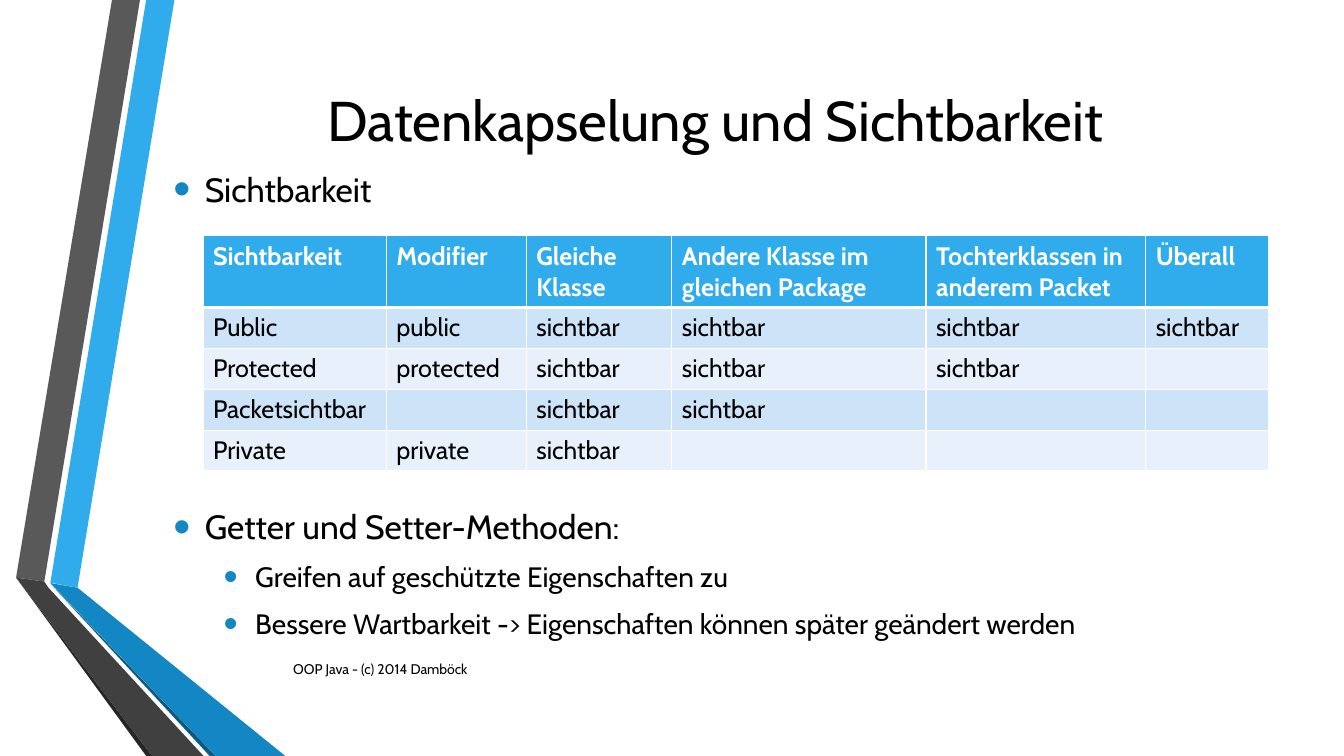
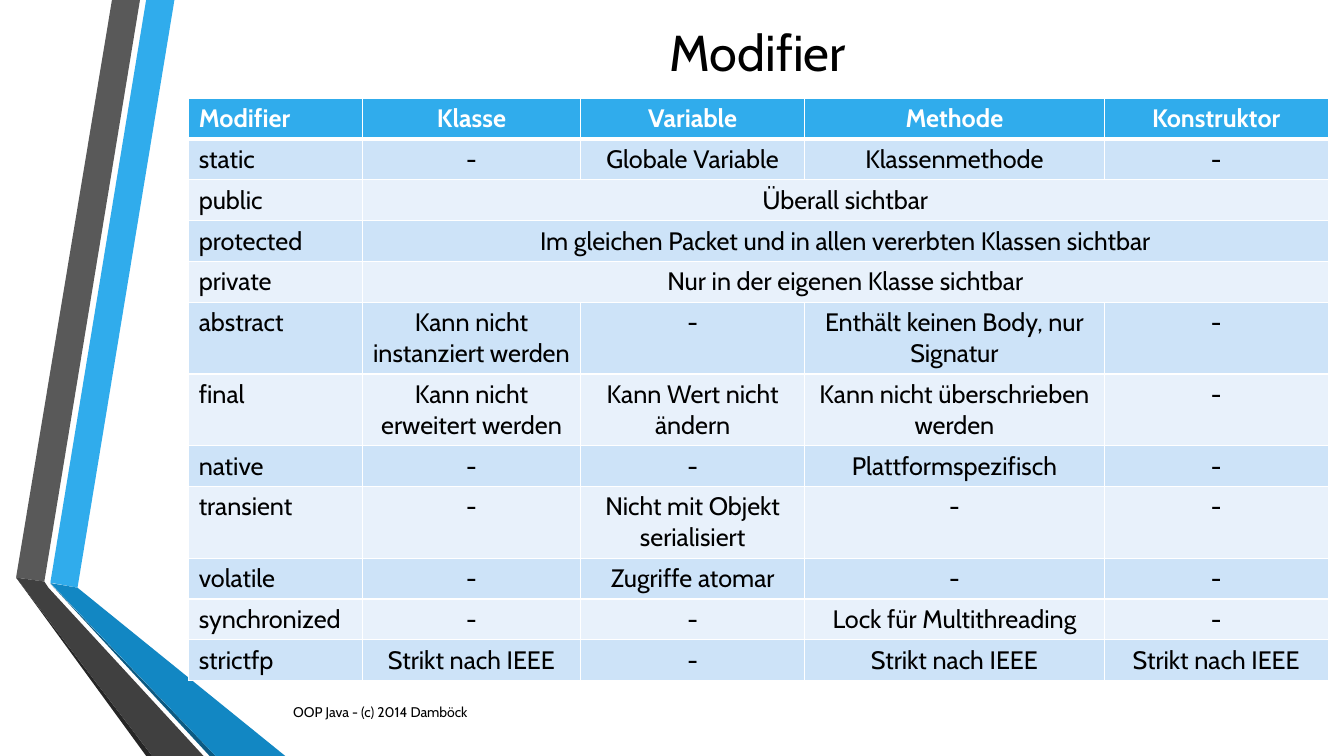
from lxml import etree
from pptx import Presentation
from pptx.dml.color import RGBColor
from pptx.enum.text import MSO_ANCHOR, MSO_AUTO_SIZE, PP_ALIGN
from pptx.oxml.ns import qn
from pptx.util import Pt

TOP, MIDDLE = MSO_ANCHOR.TOP, MSO_ANCHOR.MIDDLE
LEFT, CENTER = PP_ALIGN.LEFT, PP_ALIGN.CENTER
NO_AUTOFIT = MSO_AUTO_SIZE.NONE

# Shared look
FONT = "Cabin"
BLACK, WHITE = "000000", "FFFFFF"
SKY, BLUE, NAVY = "30ACEC", "1287C3", "0C5A82"
ROW_TINTS = ("E8F1FB", "CDE3F8")
ROW_HEIGHT, TALL_ROW_HEIGHT = 29.2, 51
FOOTER = "OOP Java - (c) 2014 Damböck"
BANDS = [
    (SKY, [(36, 416.2), (55.4, 419.8), (124.6, 0), (104.4, 0)]),
    ("595959", [(100, 0), (80, 0), (11.5, 412.6), (31.7, 415.4)]),
    ("262626", [(11.5, 412.6), (104.4, 540), (108.7, 540)]),
    (NAVY, [(36, 416.9), (149.8, 540), (154.1, 540)]),
    (BLUE, [(36, 416.5), (154.1, 540), (203.8, 540), (55.4, 419.8)]),
    ("404040", [(145.4, 540), (34.6, 419.8), (31.7, 415.4),
                (11.5, 412.6), (108.7, 540)]),
]

# Content: level, text, space before
POINTS = [
    (0, "Sichtbarkeit", 0),
    (0, "Getter und Setter-Methoden:", 206),
    (1, "Greifen auf geschützte Eigenschaften zu", 3.5),
    (1, "Bessere Wartbarkeit -> Eigenschaften können später geändert werden", 3.5),
]
SEEN = "sichtbar"
VISIBILITY = [
    ["Sichtbarkeit", "Modifier", "Gleiche Klasse", "Andere Klasse im gleichen Package",
     "Tochterklassen in anderem Packet", "Überall"],
    ["Public", "public", SEEN, SEEN, SEEN, SEEN],
    ["Protected", "protected", SEEN, SEEN, SEEN, ""],
    ["Packetsichtbar", "", SEEN, SEEN, "", ""],
    ["Private", "private", SEEN, "", "", ""],
]
STRICT = "Strikt nach IEEE"
# A row with two entries spans its second one to the right edge
MODIFIERS = [
    ["Modifier", "Klasse", "Variable", "Methode", "Konstruktor"],
    ["static", "-", "Globale Variable", "Klassenmethode", "-"],
    ["public", "Überall sichtbar"],
    ["protected", "Im gleichen Packet und in allen vererbten Klassen sichtbar"],
    ["private", "Nur in der eigenen Klasse sichtbar"],
    ["abstract", "Kann nicht instanziert werden", "-",
     "Enthält keinen Body, nur Signatur", "-"],
    ["final", "Kann nicht erweitert werden", "Kann Wert nicht ändern",
     "Kann nicht überschrieben werden", "-"],
    ["native", "-", "-", "Plattformspezifisch", "-"],
    ["transient", "-", "Nicht mit Objekt serialisiert", "-", "-"],
    ["volatile", "-", "Zugriffe atomar", "-", "-"],
    ["synchronized", "-", "-", "Lock für Multithreading", "-"],
    ["strictfp", STRICT, "-", STRICT, STRICT],
]


def rgb(color):
    return RGBColor.from_string(color)


def apply(target, values):
    for name, value in values.items():
        setattr(target, name, value)


def place(shape, left, top, width, height):
    apply(shape, {"left": Pt(left), "top": Pt(top),
                  "width": Pt(width), "height": Pt(height)})


def set_frame(frame, anchor):
    apply(frame, {"word_wrap": True, "auto_size": NO_AUTOFIT, "vertical_anchor": anchor})


def write(paragraph, text, size, color=BLACK, bold=False, align=LEFT):
    paragraph.alignment = align
    if text:
        run = paragraph.add_run()
        run.text = text
        apply(run.font, {"name": FONT, "size": Pt(size), "bold": bold})
        run.font.color.rgb = rgb(color)


def add_bands(prs, slide):
    """Draw the folded bands and move them to the master."""
    for i, (color, points) in enumerate(BANDS):
        corners = [(Pt(x), Pt(y)) for x, y in points]
        builder = slide.shapes.build_freeform(*corners[0])
        builder.add_line_segments(corners[1:], close=True)
        band = builder.convert_to_shape()
        band.shadow.inherit = False
        band.fill.solid()
        band.fill.fore_color.rgb = rgb(color)
        band.line.fill.background()
        band.element.nvSpPr.cNvPr.set("id", str(100 + i))
        prs.slide_master.shapes.element.insert(2 + i, band.element)


def set_title(slide, text, size, box):
    title = slide.shapes.title
    place(title, *box)
    set_frame(title.text_frame, MIDDLE)
    write(title.text_frame.paragraphs[0], text, size, align=CENTER)


def add_bullet(paragraph, indent):
    props = paragraph._p.get_or_add_pPr()
    props.set("marL", str(Pt(indent)))
    props.set("indent", str(-Pt(22.5)))
    color = etree.SubElement(props, qn("a:buClr"))
    etree.SubElement(color, qn("a:srgbClr"), val=BLUE)
    etree.SubElement(props, qn("a:buSzPct"), val="145000")
    etree.SubElement(props, qn("a:buFont"), typeface="Arial")
    etree.SubElement(props, qn("a:buChar"), char="•")


def set_bullets(slide, points, box):
    body = slide.placeholders[1]
    place(body, *box)
    frame = body.text_frame
    set_frame(frame, TOP)
    for i, (level, text, before) in enumerate(points):
        paragraph = frame.add_paragraph() if i else frame.paragraphs[0]
        add_bullet(paragraph, 22.5 + 36 * level)
        apply(paragraph, {"level": level, "space_before": Pt(before), "space_after": Pt(6)})
        write(paragraph, text, 24 - 4 * level)


def style_cell(cell, fill, top=1, bottom=1):
    cell.fill.solid()
    cell.fill.fore_color.rgb = rgb(fill)
    props = cell._tc.get_or_add_tcPr()
    borders = {"a:lnL": 1, "a:lnR": 1, "a:lnT": top, "a:lnB": bottom}
    for i, (side, width) in enumerate(borders.items()):
        border = etree.Element(qn(side), w=str(Pt(width)))
        paint = etree.SubElement(border, qn("a:solidFill"))
        etree.SubElement(paint, qn("a:srgbClr"), val=WHITE)
        props.insert(i, border)


def add_grid(slide, rows, left, top, widths, tall_rows, align):
    heights = [TALL_ROW_HEIGHT if r in tall_rows else ROW_HEIGHT for r in range(len(rows))]
    table = slide.shapes.add_table(len(rows), len(widths), Pt(left), Pt(top),
                                   Pt(sum(widths)), Pt(sum(heights))).table
    table.horz_banding = False
    for column, width in zip(table.columns, widths):
        column.width = Pt(width)
    for r, (entries, height) in enumerate(zip(rows, heights)):
        table.rows[r].height = Pt(height)
        header = r == 0
        for c in range(len(widths)):
            style_cell(table.cell(r, c), SKY if header else ROW_TINTS[r % 2],
                       top=3 if r == 1 else 1, bottom=3 if header else 1)
        if len(entries) < len(widths):
            table.cell(r, len(entries) - 1).merge(table.cell(r, len(widths) - 1))
        for c, text in enumerate(entries):
            write(table.cell(r, c).text_frame.paragraphs[0], text, 18,
                  WHITE if header else BLACK, header, align if c else LEFT)


def add_footer(slide, top, height):
    footer = slide.shapes.add_textbox(Pt(202.3), Pt(top), Pt(558), Pt(height))
    set_frame(footer.text_frame, MIDDLE)
    write(footer.text_frame.paragraphs[0], FOOTER, 10)


def main():
    prs = Presentation()
    prs.slide_width, prs.slide_height = Pt(960), Pt(540)

    # Visibility
    slide = prs.slides.add_slide(prs.slide_layouts[1])
    add_bands(prs, slide)
    set_title(slide, "Datenkapselung und Sichtbarkeit", 40, (116.6, 54, 789, 62.6))
    set_bullets(slide, POINTS, (116.6, 117, 789, 347))
    add_grid(slide, VISIBILITY, 145, 168.5, [131, 100, 104, 181.5, 157, 87.5], {0}, LEFT)
    add_footer(slide, 463, 29)

    # Modifiers
    slide = prs.slides.add_slide(prs.slide_layouts[5])
    set_title(slide, "Modifier", 36, (133.2, 13, 816, 47))
    add_grid(slide, MODIFIERS, 134.8, 70, [124, 156, 160, 214, 160], {5, 6, 8}, CENTER)
    add_footer(slide, 496, 25)

    prs.save("out.pptx")


if __name__ == "__main__":
    main()
